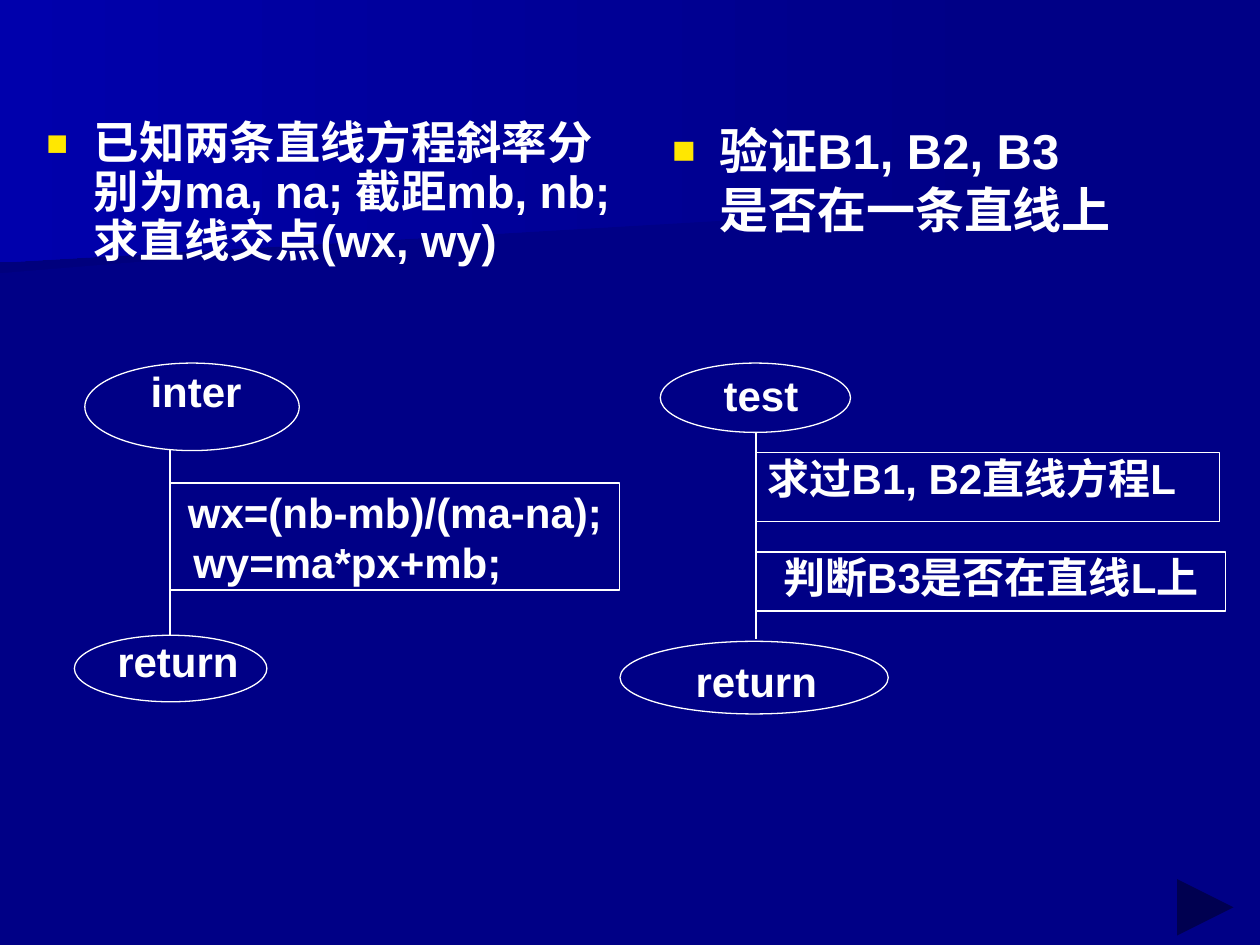
from dataclasses import dataclass

from lxml.etree import SubElement
from pptx import Presentation
from pptx.dml.color import RGBColor
from pptx.enum.shapes import MSO_CONNECTOR, MSO_SHAPE
from pptx.enum.text import MSO_ANCHOR as Anchor, PP_ALIGN as Align
from pptx.oxml.ns import qn
from pptx.util import Pt

COLORS = {
    "navy": "000086",
    "deep": "00007D",
    "glow": "0000AC",
    "white": "FFFFFF",
    "yellow": "FFE701",
}
FONT = "Arial"
HANGING = 27


@dataclass(frozen=True)
class Area:
    left: float
    top: float
    width: float
    height: float

    def points(self):
        return [Pt(v) for v in (self.left, self.top, self.width, self.height)]


@dataclass(frozen=True)
class Line:
    text: str
    align: Align = Align.LEFT
    indent: float = 0
    spacing: float = 1.0
    size: float = 24
    bullet: bool = False


@dataclass(frozen=True)
class Step:
    area: Area
    lines: tuple[Line, ...]
    anchor: Anchor = Anchor.TOP


@dataclass(frozen=True)
class Terminal:
    oval: Area
    label_area: Area
    label: Line


@dataclass(frozen=True)
class Flow:
    task: Step
    start: Terminal
    steps: tuple[Step, ...]
    end: Terminal
    axis: tuple[float, float, float]  # x, top, bottom


FLOWS = (
    Flow(
        task=Step(Area(19.5, 65.5, 343, 114), (
            Line("已知两条直线方程斜率分别为ma, na; 截距mb, nb;求直线交点(wx, wy)",
                 indent=HANGING, spacing=0.9, size=25.9, bullet=True),)),
        start=Terminal(Area(48.5, 207.5, 122.5, 50), Area(67, 212.5, 90, 32),
                       Line("inter", Align.CENTER, spacing=0.88)),
        steps=(Step(Area(97.2, 276, 257, 61.2), (
            Line("wx=(nb-mb)/(ma-na);", Align.CENTER),
            Line("wy=ma*px+mb;", indent=13.3)), Anchor.MIDDLE),),
        end=Terminal(Area(42.5, 363, 110, 38), Area(67, 363, 73.5, 38),
                     Line("return", Align.JUSTIFY)),
        axis=(97.2, 257, 363),
    ),
    Flow(
        task=Step(Area(377, 65.5, 282, 81), (
            Line("验证B1, B2, B3\v是否在一条直线上",
                 indent=HANGING, size=28, bullet=True),)),
        start=Terminal(Area(377.3, 207.5, 108.7, 39.6), Area(389.5, 213, 90.7, 17.3),
                       Line("test", Align.CENTER, spacing=0.96)),
        steps=(
            Step(Area(432, 258.5, 265, 39.6),
                 (Line("求过B1, B2直线方程L", indent=6.7),)),
            Step(Area(432, 315.4, 268.5, 33.8),
                 (Line("判断B3是否在直线L上", Align.CENTER),)),
        ),
        end=Terminal(Area(354.3, 366.5, 153.3, 41.5), Area(397.5, 374.4, 72.7, 28.8),
                     Line("return", Align.JUSTIFY)),
        axis=(432, 247.5, 365),
    ),
)

# Each band: outline in points, and the colour it reaches at its left edge.
BANDS = (
    (((560, 110), (0, 156), (0, 73), (561, 73)), "deep"),
    (((570, 117), (0, 150), (0, 0), (570, 0)), "glow"),
)


def rgb(name: str) -> RGBColor:
    return RGBColor.from_string(COLORS[name])


def draw_band(slide, outline, left_color: str) -> None:
    builder = slide.shapes.build_freeform(*outline[0], scale=Pt(1))
    builder.add_line_segments(outline[1:], close=True)
    band = builder.convert_to_shape()
    band.shadow.inherit = False
    band.line.fill.background()
    band.fill.gradient()
    band.fill.gradient_angle = 180
    for stop, color in zip(band.fill.gradient_stops, ("navy", left_color)):
        stop.color.rgb = rgb(color)


def add_bullet(paragraph) -> None:
    props = paragraph._p.get_or_add_pPr()
    color = SubElement(props, qn("a:buClr"))
    SubElement(color, qn("a:srgbClr"), val=COLORS["yellow"])
    SubElement(props, qn("a:buSzPct"), val="80000")
    SubElement(props, qn("a:buFont"), typeface=FONT)
    SubElement(props, qn("a:buChar"), char="■")


def write(shape, lines: tuple[Line, ...], anchor: Anchor = Anchor.TOP,
          insets: tuple[float, float] = (0, 0)) -> None:
    """Fill a shape with lines; insets are horizontal, then vertical."""
    frame = shape.text_frame
    frame.word_wrap = True
    frame.vertical_anchor = anchor
    frame.margin_left = frame.margin_right = Pt(insets[0])
    frame.margin_top = frame.margin_bottom = Pt(insets[1])
    for index, line in enumerate(lines):
        paragraph = frame.add_paragraph() if index else frame.paragraphs[0]
        paragraph.text = line.text
        props = paragraph._p.get_or_add_pPr()
        props.set("marL", str(Pt(line.indent)))
        if line.bullet:
            props.set("indent", str(-Pt(line.indent)))
            add_bullet(paragraph)
        paragraph.alignment = line.align
        paragraph.line_spacing = line.spacing
        font = paragraph.font
        font.name, font.size, font.bold = FONT, Pt(line.size), True
        font.color.rgb = rgb("white")


def draw_outline(slide, kind: MSO_SHAPE, area: Area):
    shape = slide.shapes.add_shape(kind, *area.points())
    shape.shadow.inherit = False
    shape.fill.background()
    shape.line.color.rgb = rgb("white")
    shape.line.width = Pt(0.75)
    return shape


def draw_terminal(slide, terminal: Terminal) -> None:
    label = slide.shapes.add_textbox(*terminal.label_area.points())
    write(label, (terminal.label,))
    draw_outline(slide, MSO_SHAPE.OVAL, terminal.oval)


def draw_axis(slide, x: float, top: float, bottom: float) -> None:
    axis = slide.shapes.add_connector(
        MSO_CONNECTOR.STRAIGHT, Pt(x), Pt(top), Pt(x), Pt(bottom))
    axis.line.color.rgb = rgb("white")
    axis.line.width = Pt(0.75)
    SubElement(axis._element.spPr, qn("a:effectLst"))


def draw_flow(slide, flow: Flow) -> None:
    task = slide.shapes.add_textbox(*flow.task.area.points())
    write(task, flow.task.lines, insets=(7.2, 3.6))
    draw_terminal(slide, flow.start)
    draw_axis(slide, *flow.axis)
    draw_terminal(slide, flow.end)
    for step in flow.steps:
        box = draw_outline(slide, MSO_SHAPE.RECTANGLE, step.area)
        write(box, step.lines, step.anchor)


def draw_next_button(slide) -> None:
    button = slide.shapes.add_shape(
        MSO_SHAPE.ACTION_BUTTON_FORWARD_OR_NEXT, *Area(657.5, 497, 62.5, 43).points())
    button.shadow.inherit = False
    button.fill.solid()
    button.fill.fore_color.rgb = rgb("navy")
    button.line.fill.background()


def main() -> None:
    deck = Presentation()
    deck.slide_width, deck.slide_height = Pt(720), Pt(540)
    slide = deck.slides.add_slide(deck.slide_layouts[6])
    slide.background.fill.solid()
    slide.background.fill.fore_color.rgb = rgb("navy")
    for outline, left_color in BANDS:
        draw_band(slide, outline, left_color)
    for flow in FLOWS:
        draw_flow(slide, flow)
    draw_next_button(slide)
    deck.save("out.pptx")


if __name__ == "__main__":
    main()
